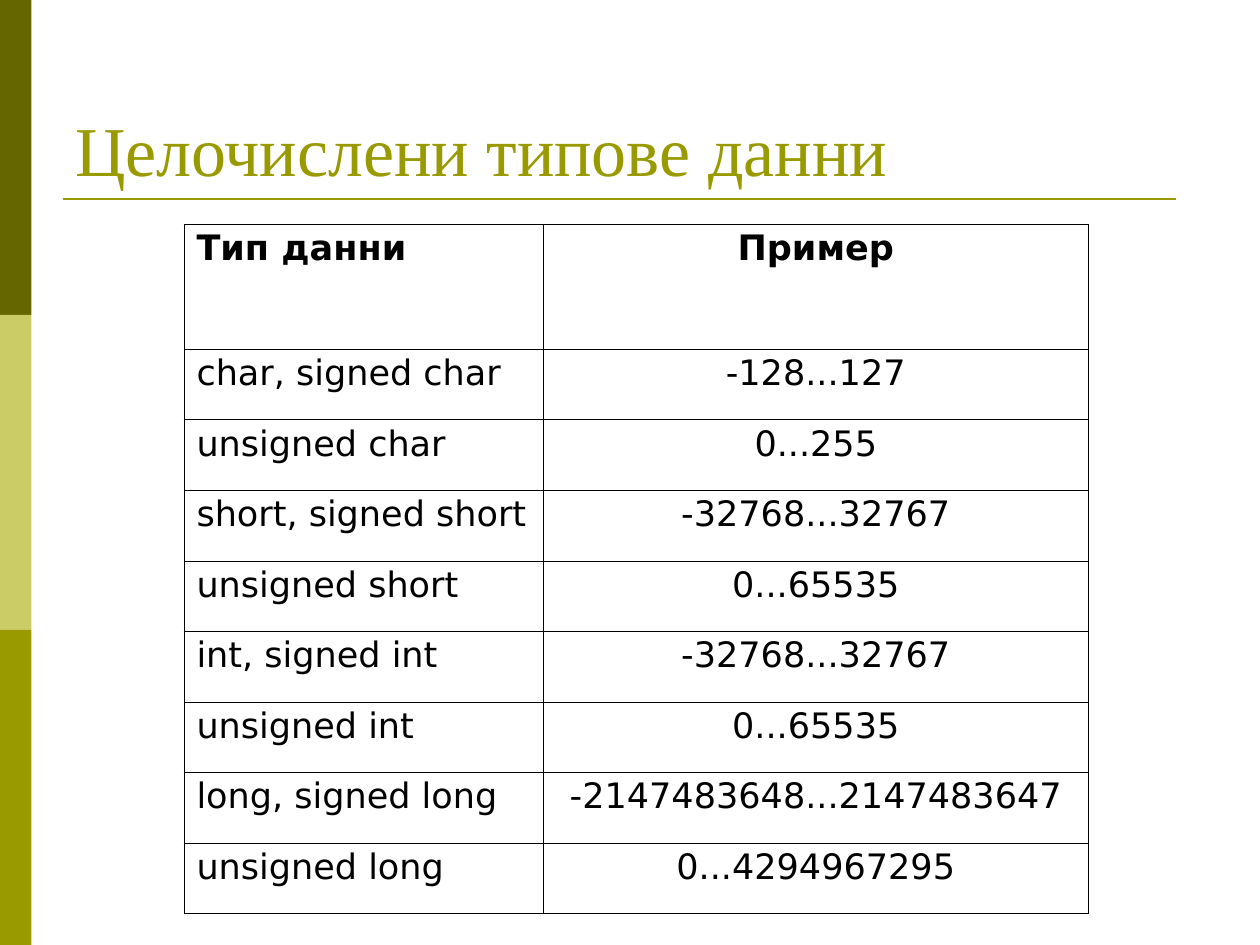
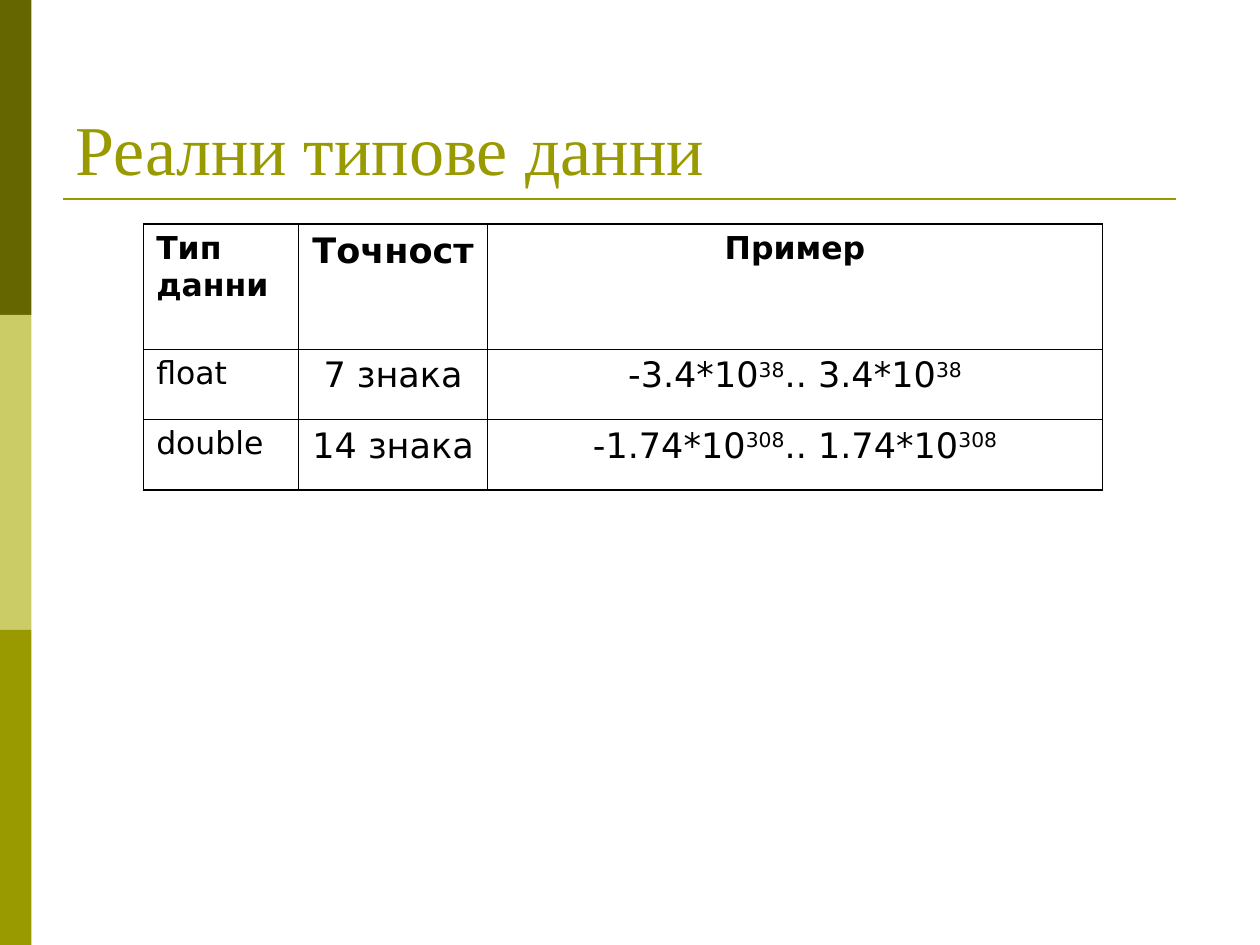
from lxml.etree import SubElement
from pptx import Presentation
from pptx.dml.color import RGBColor
from pptx.enum.shapes import MSO_CONNECTOR, MSO_SHAPE
from pptx.enum.text import MSO_ANCHOR, PP_ALIGN
from pptx.oxml.ns import qn
from pptx.util import Inches, Pt

BAND_COLORS = ["666600", "CCCC66", "999900"]
ACCENT = "999900"
BLACK = "000000"
TITLE_FONT = "Times New Roman"
BODY_FONT = "DejaVu Sans"
HEADER_HEIGHT, ROW_HEIGHT = 0.99, 0.56

INTEGER_ROWS = [
    ["Тип данни", "Пример"],
    ["char, signed char", "-128...127"],
    ["unsigned char", "0...255"],
    ["short, signed short", "-32768...32767"],
    ["unsigned short", "0...65535"],
    ["int, signed int", "-32768...32767"],
    ["unsigned int", "0...65535"],
    ["long, signed long", "-2147483648...2147483647"],
    ["unsigned long", "0...4294967295"],
]
# Text between carets is superscript.
REAL_ROWS = [
    ["Тип данни", "Точност", "Пример"],
    ["float", "7 знака", "-3.4*10^38^.. 3.4*10^38^"],
    ["double", "14 знака", "-1.74*10^308^.. 1.74*10^308^"],
]
REAL_SIZES = [[18, 20, 18], [18, 20, 20], [18, 20, 20]]


def rgb(color):
    return RGBColor.from_string(color)


def style_font(p, name, size, color, bold=False):
    p.font.name = name
    p.font.size = Pt(size)
    p.font.color.rgb = rgb(color)
    p.font.bold = bold


def add_side_band(s, left, top, width, height):
    part = height / len(BAND_COLORS)
    for i, color in enumerate(BAND_COLORS):
        sp = s.shapes.add_shape(MSO_SHAPE.RECTANGLE, Inches(left), Inches(top + i * part),
                                Inches(width), Inches(part))
        sp.shadow.inherit = False
        sp.fill.solid()
        sp.fill.fore_color.rgb = rgb(color)
        sp.line.fill.background()


def add_rule(s, left, top, width):
    line = s.shapes.add_connector(MSO_CONNECTOR.STRAIGHT, Inches(left), Inches(top),
                                  Inches(left + width), Inches(top))
    line.line.color.rgb = rgb(ACCENT)
    line.line.width = Pt(1.5)
    SubElement(line._element.spPr, qn("a:effectLst"))


def add_title(s, text, left, top, width, height):
    tf = s.shapes.add_textbox(Inches(left), Inches(top), Inches(width), Inches(height)).text_frame
    tf.word_wrap = True
    tf.vertical_anchor = MSO_ANCHOR.BOTTOM
    p = tf.paragraphs[0]
    p.text = text
    style_font(p, TITLE_FONT, 40, ACCENT)


def add_titled_slide(prs, title, title_top):
    s = prs.slides.add_slide(prs.slide_layouts[6])
    add_side_band(s, 0, 0, 0.25, 7.5)
    add_rule(s, 0.5, 1.58, 8.83)
    add_title(s, title, 0.5, title_top, 9, 1.25)
    return s


def set_borders(cell, widths):
    """Draw the left, right, top and bottom borders, with widths in points."""
    tc_pr = cell._tc.get_or_add_tcPr()
    for side, width in zip("LRTB", widths):
        ln = SubElement(tc_pr, qn(f"a:ln{side}"), w=str(Pt(width)))
        fill = SubElement(ln, qn("a:solidFill"))
        SubElement(fill, qn("a:srgbClr"), val=BLACK)


def write_runs(p, text):
    """Add the text, raising every part that stands between carets."""
    for i, part in enumerate(text.split("^")):
        if part:
            r = p.add_run()
            r.text = part
            if i % 2:
                r.font._element.set("baseline", "30000")


def add_type_table(s, rows, left, top, col_widths, sizes, outer, inner, line_spacing=None):
    """Add a table with a tall bold header; outer and inner are border widths in points."""
    heights = [HEADER_HEIGHT] + [ROW_HEIGHT] * (len(rows) - 1)
    last_row, last_col = len(rows) - 1, len(col_widths) - 1
    table = s.shapes.add_table(len(rows), len(col_widths), Inches(left), Inches(top),
                               Inches(sum(col_widths)), Inches(sum(heights))).table
    table.first_row = table.horz_banding = False
    for column, width in zip(table.columns, col_widths):
        column.width = Inches(width)
    for i, values in enumerate(rows):
        table.rows[i].height = Inches(heights[i])
        for j, text in enumerate(values):
            cell = table.cell(i, j)
            edges = [j == 0, j == last_col, i == 0, i == last_row]
            set_borders(cell, [outer if edge else inner for edge in edges])
            cell.fill.background()
            p = cell.text_frame.paragraphs[0]
            write_runs(p, text)
            p.alignment = PP_ALIGN.CENTER if j else PP_ALIGN.LEFT
            p.line_spacing = line_spacing
            style_font(p, BODY_FONT, sizes[i][j], BLACK, bold=i == 0)


def main():
    prs = Presentation()
    prs.slide_width, prs.slide_height = Inches(10), Inches(7.5)

    s = add_titled_slide(prs, "Целочислени типове данни", 0.31)
    integer_sizes = [[20, 20]] * len(INTEGER_ROWS)
    add_type_table(s, INTEGER_ROWS, 1.46, 1.78, [2.85, 4.33], integer_sizes,
                   outer=0.23, inner=0.11, line_spacing=0.93)

    s = add_titled_slide(prs, "Реални типове данни", 0.3)
    add_type_table(s, REAL_ROWS, 1.14, 1.78, [1.23, 1.5, 4.88], REAL_SIZES,
                   outer=1.08, inner=0.45)

    prs.save("out.pptx")


if __name__ == "__main__":
    main()
